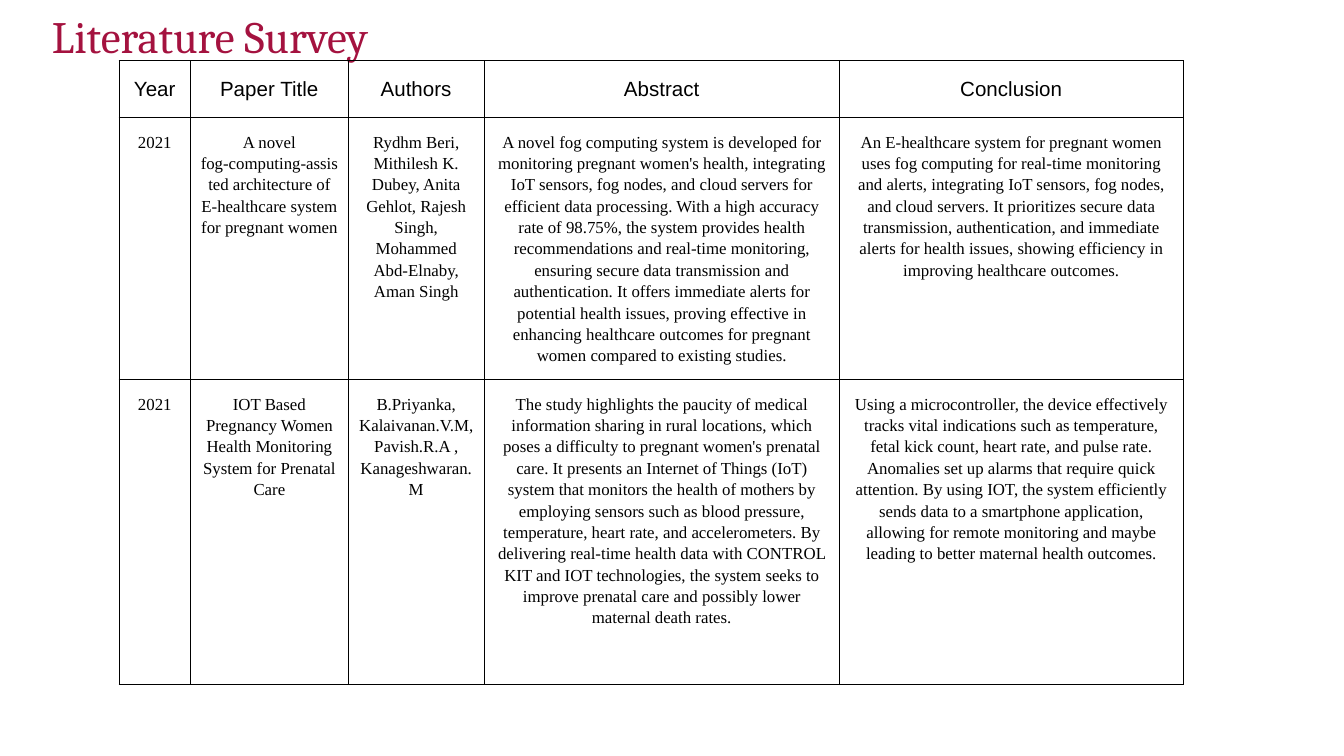
from lxml import etree
from pptx import Presentation
from pptx.dml.color import RGBColor
from pptx.enum.text import MSO_ANCHOR, MSO_AUTO_SIZE, PP_ALIGN
from pptx.oxml.ns import qn
from pptx.util import Cm, Pt

COLORS = {"title": "A4123F", "text": "000000", "border": "000000"}
BORDER_WIDTH = Pt(0.6)

COLUMN_WIDTHS = [1.35, 2.98, 2.57, 6.71, 6.5]
ROW_HEIGHTS = [1.06, 4.95, 5.76]
HEADERS = ["Year", "Paper Title", "Authors", "Abstract", "Conclusion"]
PAPERS = [
    [
        "2021",
        "A novel fog‑computing‑assisted architecture of E‑healthcare system for pregnant women",
        "Rydhm Beri, Mithilesh K. Dubey, Anita Gehlot, Rajesh Singh, "
        "Mohammed Abd‑Elnaby, Aman Singh",
        "A novel fog computing system is developed for monitoring pregnant women's health, "
        "integrating IoT sensors, fog nodes, and cloud servers for efficient data processing. "
        "With a high accuracy rate of 98.75%, the system provides health recommendations and "
        "real-time monitoring, ensuring secure data transmission and authentication. It offers "
        "immediate alerts for potential health issues, proving effective in enhancing "
        "healthcare outcomes for pregnant women compared to existing studies.",
        "An E-healthcare system for pregnant women uses fog computing for real-time monitoring "
        "and alerts, integrating IoT sensors, fog nodes, and cloud servers. It prioritizes "
        "secure data transmission, authentication, and immediate alerts for health issues, "
        "showing efficiency in improving healthcare outcomes.",
    ],
    [
        "2021",
        "IOT Based Pregnancy Women Health Monitoring System for Prenatal Care",
        "B.Priyanka, Kalaivanan.V.M, Pavish.R.A , Kanageshwaran.M",
        "The study highlights the paucity of medical information sharing in rural locations, "
        "which poses a difficulty to pregnant women's prenatal care. It presents an Internet of "
        "Things (IoT) system that monitors the health of mothers by employing sensors such as "
        "blood pressure, temperature, heart rate, and accelerometers. By delivering real-time "
        "health data with CONTROL KIT and IOT technologies, the system seeks to improve "
        "prenatal care and possibly lower maternal death rates.",
        "Using a microcontroller, the device effectively tracks vital indications such as "
        "temperature, fetal kick count, heart rate, and pulse rate. Anomalies set up alarms "
        "that require quick attention. By using IOT, the system efficiently sends data to a "
        "smartphone application, allowing for remote monitoring and maybe leading to better "
        "maternal health outcomes.",
    ],
]


def write_text(frame, text, *, font, size, color, align, line_spacing):
    paragraph = frame.paragraphs[0]
    paragraph.alignment = align
    paragraph.line_spacing = line_spacing
    run = paragraph.add_run()
    run.text = text
    run.font.name = font
    run.font.size = Pt(size)
    run.font.color.rgb = RGBColor.from_string(color)


def set_margins(target, horizontal, vertical):
    target.margin_left = target.margin_right = horizontal
    target.margin_top = target.margin_bottom = vertical


def draw_borders(cell):
    """Line all four sides; the lines must precede the fill in the cell properties."""
    properties = cell._tc.get_or_add_tcPr()
    for index, side in enumerate(("a:lnL", "a:lnR", "a:lnT", "a:lnB")):
        line = etree.Element(qn(side), w=str(BORDER_WIDTH))
        fill = etree.SubElement(line, qn("a:solidFill"))
        etree.SubElement(fill, qn("a:srgbClr"), val=COLORS["border"])
        properties.insert(index, line)


def place_title(slide, text, left, top, width, height):
    title = slide.shapes.title
    title.left, title.top, title.width, title.height = left, top, width, height
    frame = title.text_frame
    frame.auto_size = MSO_AUTO_SIZE.NONE
    frame.word_wrap = True
    frame.vertical_anchor = MSO_ANCHOR.MIDDLE
    set_margins(frame, Cm(0.18), Cm(0.1))
    write_text(frame, text, font="Cambria", size=24, color=COLORS["title"],
               align=PP_ALIGN.LEFT, line_spacing=0.9)


def place_survey_table(slide, left, top, width, height):
    """Share the box out in proportion to the column widths and row heights."""
    rows = [HEADERS, *PAPERS]
    table = slide.shapes.add_table(len(rows), len(HEADERS), left, top, width, height).table
    table.first_row = table.horz_banding = False
    for column, share in zip(table.columns, COLUMN_WIDTHS):
        column.width = int(width * share / sum(COLUMN_WIDTHS))
    for row, share in zip(table.rows, ROW_HEIGHTS):
        row.height = int(height * share / sum(ROW_HEIGHTS))

    for row_index, texts in enumerate(rows):
        font, size = ("Times New Roman", 9) if row_index else ("Arial", 11)
        for column_index, text in enumerate(texts):
            cell = table.cell(row_index, column_index)
            cell.fill.background()
            cell.vertical_anchor = MSO_ANCHOR.TOP
            set_margins(cell, Cm(0.18), Cm(0.25))
            draw_borders(cell)
            write_text(cell.text_frame, text, font=font, size=size, color=COLORS["text"],
                       align=PP_ALIGN.CENTER, line_spacing=1.15)


def main():
    presentation = Presentation()
    presentation.slide_width, presentation.slide_height = Cm(25.4), Cm(14.28)
    slide = presentation.slides.add_slide(presentation.slide_layouts[5])
    place_title(slide, "Literature Survey", Cm(0.8), Cm(0.28), Cm(23.82), Cm(0.9))
    place_survey_table(slide, Cm(2.25), Cm(1.15), Cm(sum(COLUMN_WIDTHS)), Cm(sum(ROW_HEIGHTS)))
    presentation.save("out.pptx")


if __name__ == "__main__":
    main()
